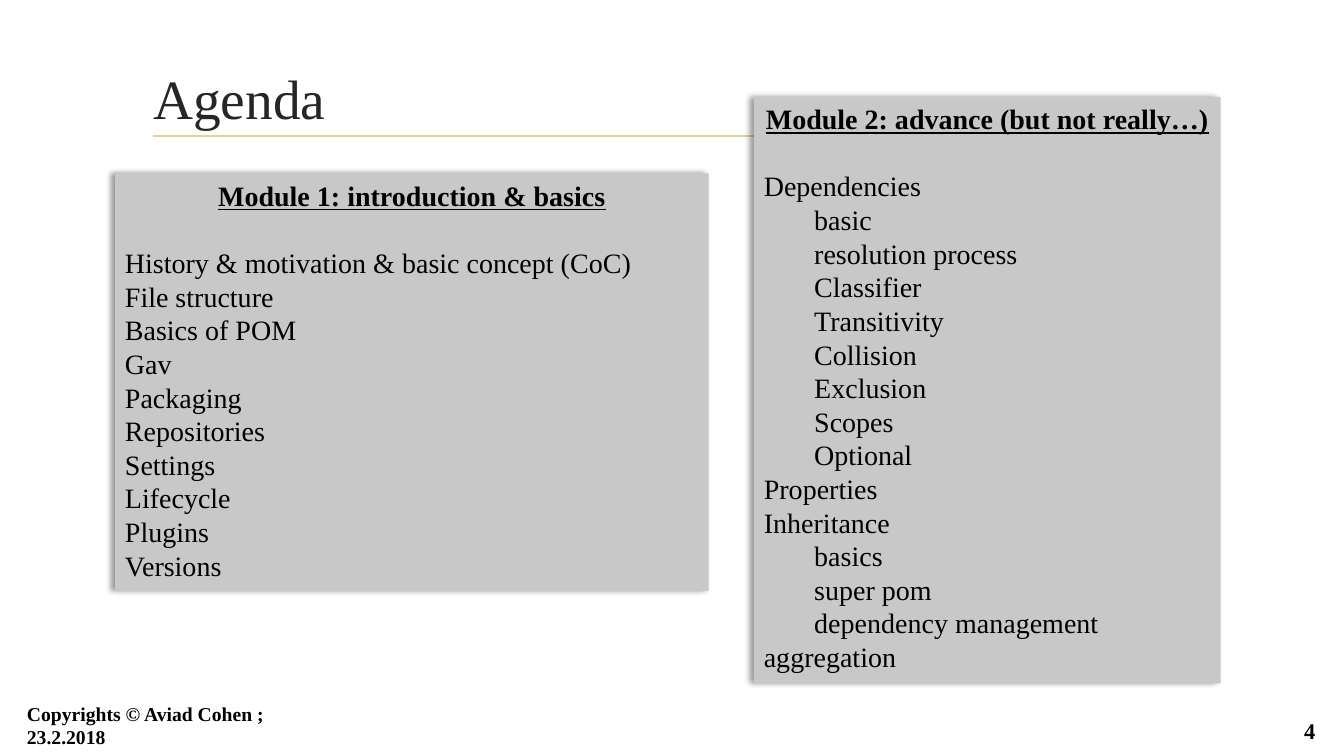
from lxml import etree
from pptx import Presentation
from pptx.dml.color import RGBColor
from pptx.enum.shapes import MSO_CONNECTOR, MSO_SHAPE
from pptx.enum.text import MSO_ANCHOR, PP_ALIGN
from pptx.oxml import parse_xml
from pptx.oxml.ns import qn
from pptx.util import Cm, Pt

RECT, STRAIGHT = MSO_SHAPE.RECTANGLE, MSO_CONNECTOR.STRAIGHT
TOP, MIDDLE = MSO_ANCHOR.TOP, MSO_ANCHOR.MIDDLE
LEFT, CENTER, RIGHT = PP_ALIGN.LEFT, PP_ALIGN.CENTER, PP_ALIGN.RIGHT

SHADOW = """<a:effectLst xmlns:a="http://schemas.openxmlformats.org/drawingml/2006/main">
<a:outerShdw blurRad="50800" dist="38100" dir="10800000" algn="r" rotWithShape="0">
<a:srgbClr val="000000"><a:alpha val="40000"/></a:srgbClr></a:outerShdw></a:effectLst>"""


def rgb(value):
    return RGBColor.from_string(value)


class Deck:
    font, ink, panel_fill, rule = "Times New Roman", "000000", "C8C8C8", "E8D191"

    def __init__(self, slide):
        self.s = slide

    def style(self, p, size, bold=False, color=ink, align=LEFT):
        p.alignment = align
        f = p.font
        f.name, f.size, f.bold = self.font, Pt(size), bold
        f.color.rgb = rgb(color)

    def line(self, x1, y1, x2, y2):
        c = self.s.shapes.add_connector(STRAIGHT, Cm(x1), Cm(y1), Cm(x2), Cm(y2))
        c.line.color.rgb = rgb(self.rule)
        c.line.width = Pt(1.25)
        etree.SubElement(c._element.spPr, qn("a:effectLst"))

    def text(self, x, y, w, h, text, size, **look):
        tf = self.s.shapes.add_textbox(Cm(x), Cm(y), Cm(w), Cm(h)).text_frame
        tf.word_wrap = True
        tf.vertical_anchor = MIDDLE
        p = tf.paragraphs[0]
        p.text = text
        self.style(p, size, **look)

    def panel(self, x, y, w, h, heading, topics):
        """Topics are (text, level) pairs; level 1 is indented."""
        sp = self.s.shapes.add_shape(RECT, Cm(x), Cm(y), Cm(w), Cm(h))
        sp.fill.solid()
        sp.fill.fore_color.rgb = rgb(self.panel_fill)
        sp.line.fill.background()
        sp._element.spPr.append(parse_xml(SHADOW))
        tf = sp.text_frame
        tf.word_wrap = True
        tf.vertical_anchor = TOP
        p = tf.paragraphs[0]
        p.text = heading
        self.style(p, 20, bold=True, align=CENTER)
        p.font.underline = True
        p.line_spacing = p.space_after = Pt(24)
        for topic, level in topics:
            p = tf.add_paragraph()
            p.text = topic
            self.style(p, 20)
            p.line_spacing = Pt(24)
            p._p.get_or_add_pPr().set("marL", str(Cm(1.27 * level)))


def main():
    prs = Presentation()
    prs.slide_width, prs.slide_height = Cm(33.87), Cm(19.05)
    deck = Deck(prs.slides.add_slide(prs.slide_layouts[6]))

    # Title and rule
    deck.line(3.86, 3.43, 30, 3.43)
    deck.text(3.61, 1.73, 26.67, 1.45, "Agenda", 39.6, color="262626")

    # Module panels
    basics = ["History & motivation & basic concept (CoC)", "File structure",
              "Basics of POM", "Gav", "Packaging", "Repositories", "Settings",
              "Lifecycle", "Plugins", "Versions"]
    deck.panel(2.9, 4.37, 14.96, 10.52, "Module 1: introduction & basics",
               [(topic, 0) for topic in basics])

    advanced = [
        ("Dependencies", ["basic", "resolution process", "Classifier", "Transitivity",
                          "Collision", "Exclusion", "Scopes", "Optional"]),
        ("Properties", []),
        ("Inheritance", ["basics", "super pom", "dependency management"]),
        ("aggregation", []),
    ]
    topics = []
    for topic, subtopics in advanced:
        topics.append((topic, 0))
        topics.extend((sub, 1) for sub in subtopics)
    deck.panel(19, 2.44, 11.76, 14.78, "Module 2: advance (but not really…)", topics)

    # Footer
    deck.text(31.9, 18.01, 1.5, 0.79, "4", 16, bold=True, align=RIGHT)
    deck.text(0.43, 17.88, 8.51, 0.79, "Copyrights © Aviad Cohen ; 23.2.2018", 14, bold=True)

    prs.save("out.pptx")


if __name__ == "__main__":
    main()
